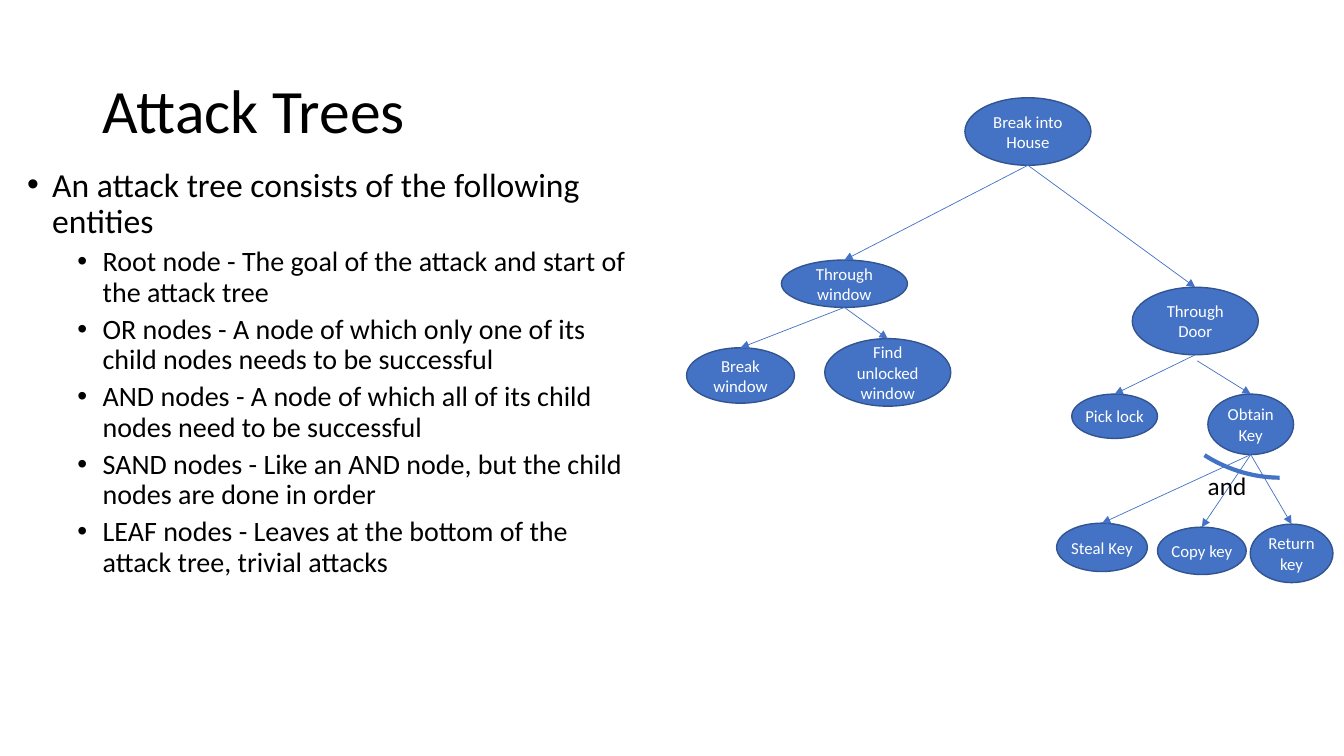
import pptx
import pptx.util
import pptx.dml.color
import pptx.enum.shapes
import pptx.enum.text
from lxml import etree

WIDE, HIGH = 13.33, 7.5  # grid of one-inch columns and rows
FONT = "Calibri"
BLUE, EDGE, BLACK, WHITE = "4472C4", "325491", "000000", "FFFFFF"
FORM = pptx.enum.shapes.MSO_SHAPE
ALIGN = pptx.enum.text.PP_ALIGN
ANCHOR = pptx.enum.text.MSO_ANCHOR

# name: text, left, top, width, height
NODES = {
    "root": ("Break into House", 9.57, 0.97, 1.25, 0.67),
    "window": ("Through window", 7.75, 2.58, 1.25, 0.47),
    "door": ("Through Door", 11.23, 2.85, 1.25, 0.67),
    "break": ("Break window", 6.81, 3.45, 1.07, 0.55),
    "find": ("Find unlocked window", 8.18, 3.36, 1.25, 0.67),
    "pick": ("Pick lock", 10.63, 3.91, 0.85, 0.44),
    "key": ("Obtain Key", 11.98, 3.91, 0.85, 0.6),
    "steal": ("Steal Key", 10.48, 5.19, 0.9, 0.48),
    "copy": ("Copy key", 11.48, 5.23, 0.88, 0.47),
    "return": ("Return key", 12.4, 5.2, 0.82, 0.58),
}

# parent, child, shift of the start across and down
EDGES = [
    ("root", "window", 0, 0),
    ("window", "break", 0, 0),
    ("window", "find", 0, 0),
    ("root", "door", 0, 0),
    ("door", "pick", 0, 0),
    ("door", "key", 0.02, 0.06),
    ("key", "steal", 0, 0),
    ("key", "copy", 0, 0),
    ("key", "return", 0, 0),
]

HEAD = "An attack tree consists of the following entities"
KINDS = [
    "Root node - The goal of the attack and start of the attack tree",
    "OR nodes - A node of which only one of its child nodes needs to be successful",
    "AND nodes - A node of which all of its child nodes need to be successful",
    "SAND nodes - Like an AND node, but the child nodes are done in order",
    "LEAF nodes - Leaves at the bottom of the attack tree, trivial attacks",
]


def grid(*cells):
    return [pptx.util.Inches(c) for c in cells]


def color(code):
    return pptx.dml.color.RGBColor.from_string(code)


def style(para, size, code):
    para.font.name = FONT
    para.font.size = pptx.util.Pt(size)
    para.font.color.rgb = color(code)


def stroke(line, code, width):
    line.color.rgb = color(code)
    line.width = pptx.util.Pt(width)


def add_xml(parent, tag, **attrs):
    return etree.SubElement(parent, pptx.oxml.ns.qn(tag), attrs)


def add_text(slide, box, lines, size, wrap=True):
    frame = slide.shapes.add_textbox(*grid(*box)).text_frame
    frame.word_wrap = wrap
    frame.text = "\n".join(lines)
    for para in frame.paragraphs:
        style(para, size, BLACK)
    return frame


def bullet(para, size, indent, before):
    style(para, size, BLACK)
    para.line_spacing = 0.9
    para.space_before = pptx.util.Pt(before)
    props = para._p.get_or_add_pPr()
    left, hang = grid(indent, -0.25)
    props.set("marL", str(left))
    props.set("indent", str(hang))
    mark = pptx.oxml.ns.qn("a:buChar")
    face = etree.Element(pptx.oxml.ns.qn("a:buFont"), typeface="Arial")
    sign = etree.Element(mark, char="•")
    # bullets follow the spacing and precede the default run properties
    spot = props.index(props.find(pptx.oxml.ns.qn("a:spcBef"))) + 1
    props.insert(spot, face)
    props.insert(spot + 1, sign)


def add_node(slide, text, *box):
    node = slide.shapes.add_shape(FORM.OVAL, *grid(*box))
    node.shadow.inherit = False
    node.fill.solid()
    node.fill.fore_color.rgb = color(BLUE)
    stroke(node.line, EDGE, 1)
    frame = node.text_frame
    frame.word_wrap = True
    frame.vertical_anchor = ANCHOR.MIDDLE
    frame.margin_left = frame.margin_right = 0
    frame.margin_top = frame.margin_bottom = 0
    frame.text = text
    para = frame.paragraphs[0]
    para.alignment = ALIGN.CENTER
    style(para, 12, WHITE)
    return node


def add_arrow(slide, start, end, across, down):
    dx, dy = grid(across, down)
    line = slide.shapes.add_connector(
        pptx.enum.shapes.MSO_CONNECTOR.STRAIGHT,
        start.left + start.width // 2 + dx, start.top + start.height + dy,
        end.left + end.width // 2, end.top)
    stroke(line.line, BLUE, 0.5)
    add_xml(line.line._get_or_add_ln(), "a:tailEnd", type="triangle")
    add_xml(line._element.spPr, "a:effectLst")


def add_arc(slide, box, turn, first, last):
    arc = slide.shapes.add_shape(FORM.ARC, *grid(*box))
    arc.shadow.inherit = False
    arc.fill.background()
    stroke(arc.line, BLUE, 3)
    arc.rotation = turn
    arc.adjustments[0] = first
    arc.adjustments[1] = last


def main():
    deck = pptx.Presentation()
    deck.slide_width, deck.slide_height = grid(WIDE, HIGH)
    slide = deck.slides.add_slide(deck.slide_layouts[6])

    # Title
    title = add_text(slide, (0.92, 0.4, 11.5, 1.45), ["Attack Trees"], 44)
    title.vertical_anchor = ANCHOR.MIDDLE
    title.paragraphs[0].line_spacing = 0.9

    # Bullet list
    body = add_text(slide, (0.17, 1.62, 6.26, 4.76), [HEAD, *KINDS], 20)
    head, *kinds = body.paragraphs
    bullet(head, 24, 0.25, 10)
    for para in kinds:
        para.level = 1
        bullet(para, 20, 0.75, 5)

    # Tree: nodes first, then arrows from parent to child
    nodes = {name: add_node(slide, *spec) for name, spec in NODES.items()}
    for parent, child, across, down in EDGES:
        add_arrow(slide, nodes[parent], nodes[child], across, down)

    # Mark of the AND node
    add_text(slide, (11.88, 4.62, 0.59, 0.4), ["and"], 18, wrap=False)
    add_arc(slide, (11.45, 2.3, 2.27, 2.55), 116.5, 196.95, 4.6)

    deck.save("out.pptx")


if __name__ == "__main__":
    main()
